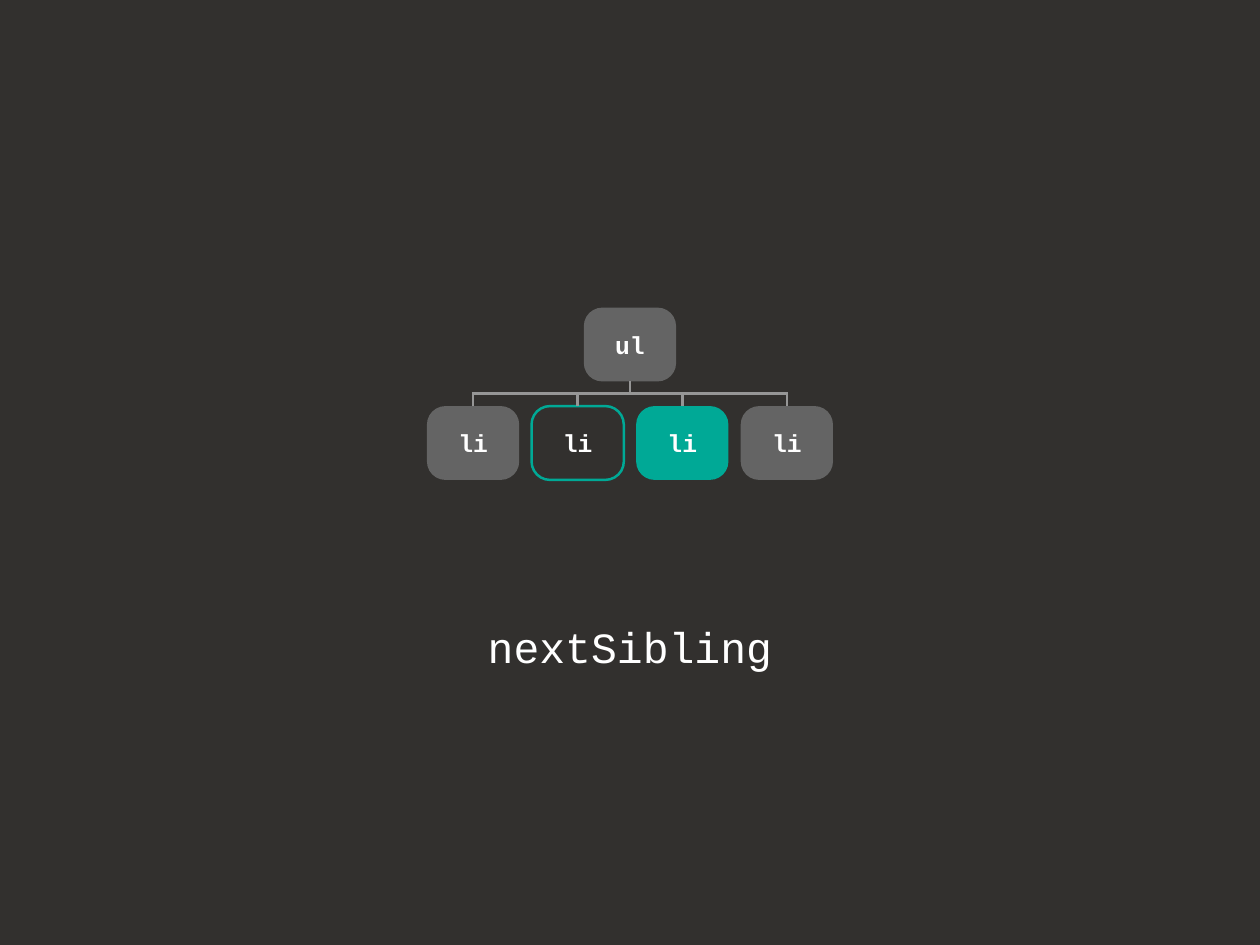
"""Build the nextSibling slide: a ul node with four li children."""
from pptx import Presentation
from pptx.dml.color import RGBColor
from pptx.enum.shapes import MSO_CONNECTOR, MSO_SHAPE
from pptx.enum.text import MSO_ANCHOR, MSO_AUTO_SIZE, PP_ALIGN
from pptx.oxml.ns import qn
from pptx.util import Pt
from lxml.etree import SubElement

PX = 6350
COLORS = {
    "background": "32302E",
    "node": "646464",
    "accent": "00A996",
    "line": "969696",
    "text": "FFFFFF",
}
COLORS = {name: RGBColor.from_string(value) for name, value in COLORS.items()}
NODE_WIDTH, NODE_HEIGHT, NODE_STEP = 150, 120, 170
CENTER, ROOT_TOP, BUS_TOP, CHILD_TOP = 1024, 500, 640, 660
FIRST_CENTER = CENTER - NODE_STEP * 3 // 2
LAST_CENTER = CENTER + NODE_STEP * 3 // 2


def write(shape, text, size, bold):
    frame = shape.text_frame
    frame.text = text
    frame.word_wrap = True
    frame.auto_size = MSO_AUTO_SIZE.NONE
    frame.vertical_anchor = MSO_ANCHOR.MIDDLE
    frame.margin_left = frame.margin_right = 0
    frame.margin_top = frame.margin_bottom = 0
    para = frame.paragraphs[0]
    para.alignment = PP_ALIGN.CENTER
    font = para.runs[0].font
    font.name, font.size, font.bold = "Courier New", Pt(size), bold
    font.color.rgb = COLORS["text"]


def add_line(x1, y1, x2, y2):
    line = page.shapes.add_connector(
        MSO_CONNECTOR.STRAIGHT, x1 * PX, y1 * PX, x2 * PX, y2 * PX)
    line.line.color.rgb = COLORS["line"]
    line.line.width = Pt(2)
    SubElement(line._element.spPr, qn("a:effectLst"))
    return line


deck = Presentation()
deck.slide_width, deck.slide_height = 2048 * PX, 1536 * PX
page = deck.slides.add_slide(deck.slide_layouts[5])
page.background.fill.solid()
page.background.fill.fore_color.rgb = COLORS["background"]

title = page.shapes.title
title.left, title.top = 124 * PX, 1000 * PX
title.width, title.height = 1800 * PX, 100 * PX
write(title, "nextSibling", 35, False)

nodes = [("ul", CENTER, ROOT_TOP, "node", None)]
for index, (fill, outline) in enumerate(
        [("node", None), (None, "accent"), ("accent", None), ("node", None)]):
    nodes.append(("li", FIRST_CENTER + index * NODE_STEP, CHILD_TOP, fill, outline))

for label, center, top, fill, outline in nodes:
    box = page.shapes.add_shape(
        MSO_SHAPE.ROUNDED_RECTANGLE, (center - NODE_WIDTH // 2) * PX, top * PX,
        NODE_WIDTH * PX, NODE_HEIGHT * PX)
    box.adjustments[0] = 0.25
    box.shadow.inherit = False
    if fill:
        box.fill.solid()
        box.fill.fore_color.rgb = COLORS[fill]
    else:
        box.fill.background()
    if outline:
        box.line.color.rgb = COLORS[outline]
        box.line.width = Pt(2)
    else:
        box.line.fill.background()
    write(box, label, 20, True)
    if label == "ul":
        stem = add_line(center, top + NODE_HEIGHT, center, BUS_TOP)
        stem.begin_connect(box, 2)
    else:
        stem = add_line(center, BUS_TOP, center, top)
        stem.end_connect(box, 0)

add_line(FIRST_CENTER - 2, BUS_TOP, LAST_CENTER + 2, BUS_TOP)

deck.save("out.pptx")
